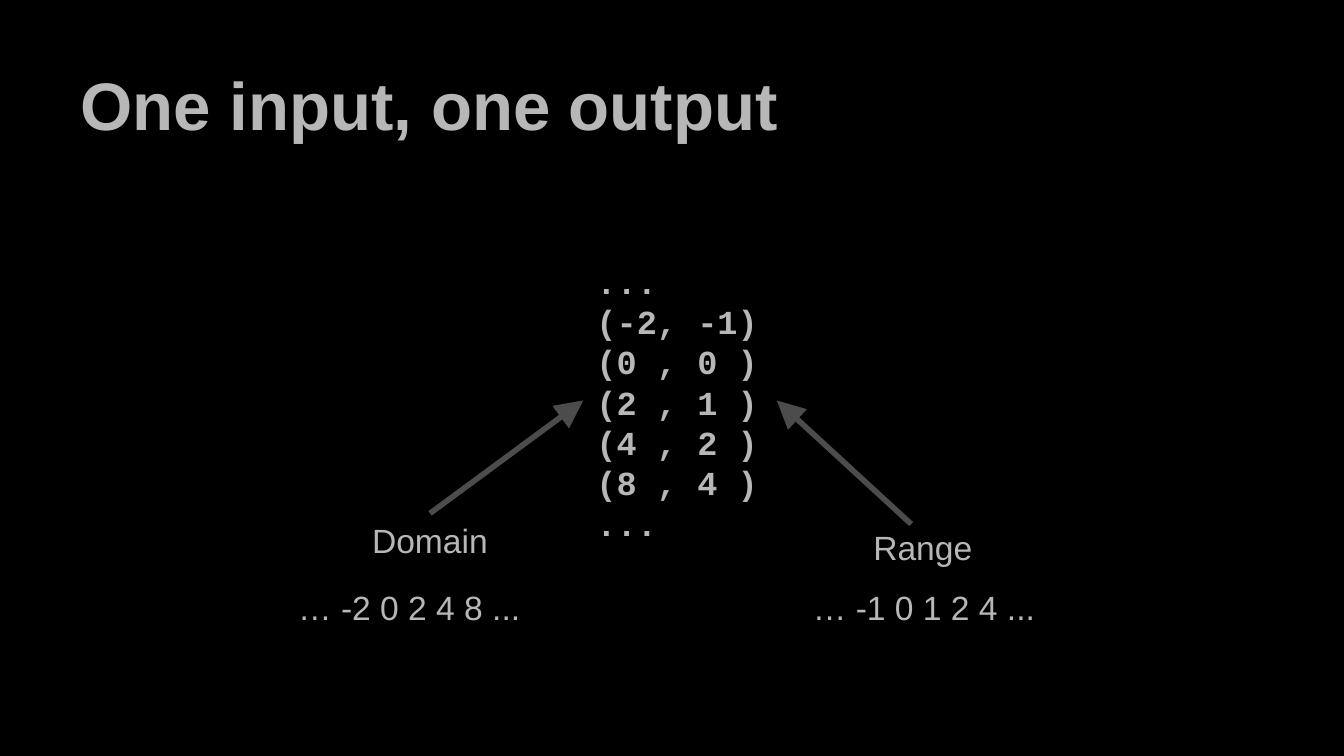
from typing import NamedTuple

from lxml.etree import SubElement
from pptx import Presentation
from pptx.dml.color import RGBColor
from pptx.enum.shapes import MSO_CONNECTOR
from pptx.enum.text import MSO_ANCHOR, PP_ALIGN
from pptx.oxml.ns import qn
from pptx.slide import Slide
from pptx.text.text import TextFrame
from pptx.util import Inches, Pt

WIDTH = Inches(10)
HEIGHT = WIDTH * 9 // 16
COLORS = {"background": "000000", "text": "B7B7B7", "arrow": "4C4C4C"}


class Box(NamedTuple):
    """Left, top, width and height in percent of the slide's size."""
    left: float
    top: float
    width: float
    height: float


class Label(NamedTuple):
    box: Box
    lines: list[str]
    font: str = "Arial"
    bold: bool = False


class Arrow(NamedTuple):
    """Start and end points in percent of the slide's size."""
    start: tuple[float, float]
    end: tuple[float, float]


PAIRS = [("-2", "-1"), ("0", "0"), ("2", "1"), ("4", "2"), ("8", "4")]
PAIR_LINES = ["...", *(f"({x:<2}, {y:<2})" for x, y in PAIRS), "..."]
DOMAIN, RANGE = (" ".join(values) for values in zip(*PAIRS))
ROW, VALUES_TOP, ARROW_TIP = 6.22, 75.91, 52.98

TITLE_BOX = Box(5, 4.09, 90, 16.71)
LABELS = [
    Label(Box(43.4, 32.71, 14.4, 40.53), PAIR_LINES, "Courier New", True),
    Label(Box(26.7, 67.02, 11.1, ROW), ["Domain"]),
    Label(Box(64, 67.91, 10, ROW), ["Range"]),
    Label(Box(21.2, VALUES_TOP, 19.4, ROW), [f"… {DOMAIN} ..."]),
    Label(Box(59.5, VALUES_TOP, 19.4, ROW), [f"… {RANGE} ..."]),
]
ARROWS = [
    Arrow((32, 67.91), (43.4, ARROW_TIP)),
    Arrow((67.8, 69.33), (57.8, ARROW_TIP)),
]


def across(percent: float) -> int:
    return round(percent * WIDTH / 100)


def down(percent: float) -> int:
    return round(percent * HEIGHT / 100)


def place(box: Box) -> tuple[int, int, int, int]:
    """Turn percentages of the slide into lengths."""
    return across(box.left), down(box.top), across(box.width), down(box.height)


def write(frame: TextFrame, lines: list[str], font: str, size: int,
          bold: bool) -> None:
    frame.word_wrap = True
    frame.margin_left = frame.margin_right = Inches(0.1)
    frame.margin_top = frame.margin_bottom = Inches(0.1)
    for index, line in enumerate(lines):
        paragraph = frame.add_paragraph() if index else frame.paragraphs[0]
        paragraph.alignment = PP_ALIGN.LEFT
        run = paragraph.add_run()
        run.text = line
        run.font.name = font
        run.font.size = Pt(size)
        run.font.bold = bold
        run.font.color.rgb = RGBColor.from_string(COLORS["text"])


def add_title(slide: Slide, text: str) -> None:
    title = slide.shapes.title
    title.left, title.top, title.width, title.height = place(TITLE_BOX)
    title.text_frame.vertical_anchor = MSO_ANCHOR.BOTTOM
    write(title.text_frame, [text], "Arial", 36, True)


def add_label(slide: Slide, label: Label) -> None:
    frame = slide.shapes.add_textbox(*place(label.box)).text_frame
    frame.vertical_anchor = MSO_ANCHOR.TOP
    write(frame, label.lines, label.font, 18, label.bold)


def add_arrow(slide: Slide, arrow: Arrow) -> None:
    (start_x, start_y), (end_x, end_y) = arrow
    connector = slide.shapes.add_connector(
        MSO_CONNECTOR.STRAIGHT, across(start_x), down(start_y),
        across(end_x), down(end_y))
    connector.line.color.rgb = RGBColor.from_string(COLORS["arrow"])
    connector.line.width = Pt(3)
    properties = connector._element.spPr
    SubElement(properties.find(qn("a:ln")), qn("a:tailEnd"),
               type="triangle", w="lg", len="lg")
    SubElement(properties, qn("a:effectLst"))


def main() -> None:
    deck = Presentation()
    deck.slide_width, deck.slide_height = WIDTH, HEIGHT
    slide = deck.slides.add_slide(deck.slide_layouts.get_by_name("Title Only"))
    slide.background.fill.solid()
    slide.background.fill.fore_color.rgb = RGBColor.from_string(COLORS["background"])

    add_title(slide, "One input, one output")
    for label in LABELS:
        add_label(slide, label)
    for arrow in ARROWS:
        add_arrow(slide, arrow)
    deck.save("out.pptx")


if __name__ == "__main__":
    main()
